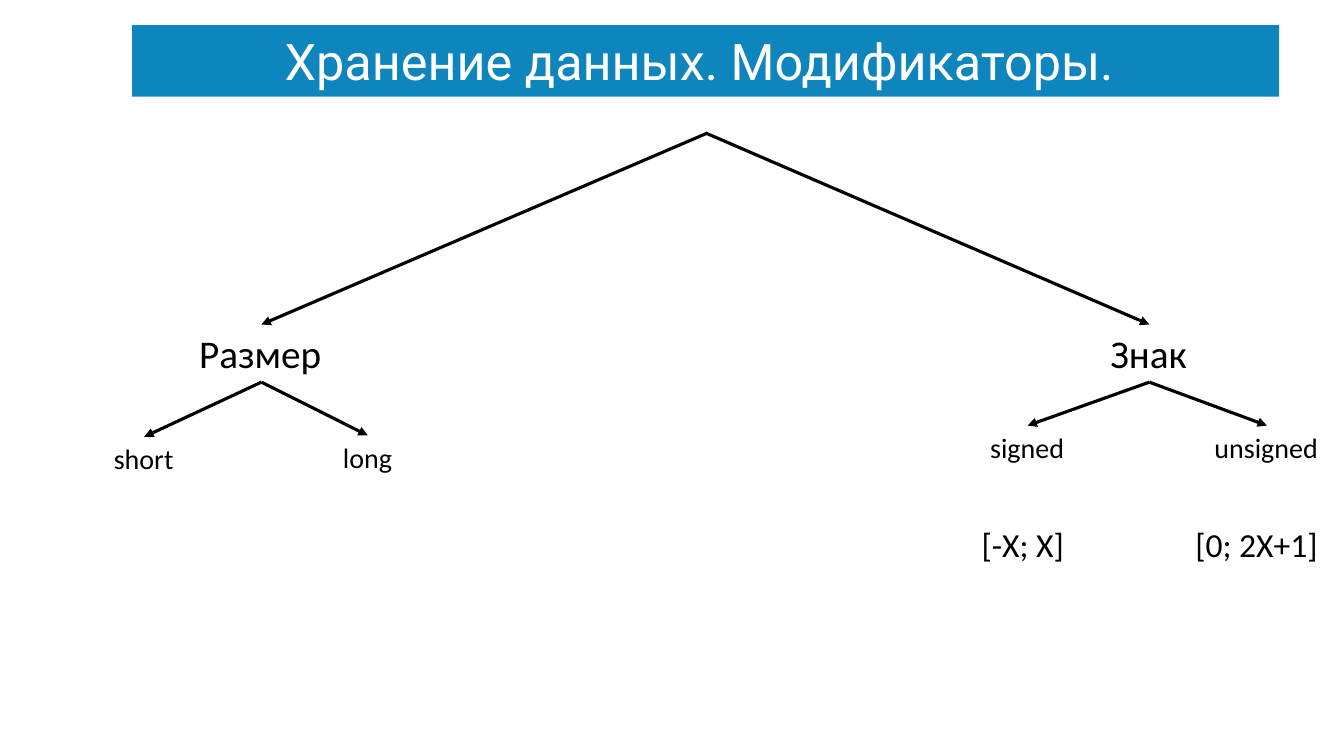
import pptx
import pptx.util
import pptx.dml.color
import pptx.enum.shapes
import pptx.enum.text
import pptx.oxml
import pptx.oxml.ns
import lxml.etree

Pt = pptx.util.Pt
COLORS = {"banner": "0F85BE", "title": "FFFFFF", "ink": "000000"}

TITLE = "Хранение данных. Модификаторы. "
BANNER = (94.3, 18, 819.4, 51.1)  # left, top, width, height
ROOT_Y, BRANCH_TOP = 95, 231.8
LABEL_HEIGHTS = {28: 41.2, 24: 36.3, 20: 31.5}  # by font size

# Labels are (text, centre x, width); each branch hangs from its own root x.
BRANCHES = [
    {"root": 505.4, "label": ("Размер", 186.7, 103),
     "leaves": [("short", 103, 57.6, 312), ("long", 262.7, 49.7, 311)]},
    {"root": 504, "label": ("Знак", 821, 69.8),
     "leaves": [("signed", 734, 67.7, 304), ("unsigned", 905, 89.3, 304)]},
]
RANGES = [("[-X; X]", 731.2, 74.2), ("[0; 2X+1]", 898.2, 103)]
RANGE_TOP = 370.8


def color(name):
    """Return the named palette colour."""
    return pptx.dml.color.RGBColor.from_string(COLORS[name])


def style_run(paragraph, size, font, color_name):
    """Format the only run of a paragraph."""
    run = paragraph.runs[0]
    run.font.size = Pt(size)
    run.font.name = font
    run.font.color.rgb = color(color_name)


def add_banner(slide):
    """Draw the coloured title bar with its text."""
    shape = slide.shapes.add_shape(
        pptx.enum.shapes.MSO_SHAPE.RECTANGLE, *map(Pt, BANNER))
    shape.shadow.inherit = False
    shape.fill.solid()
    shape.fill.fore_color.rgb = color("banner")
    shape.line.fill.background()
    text_frame = shape.text_frame
    text_frame.text = TITLE
    text_frame.word_wrap = True
    text_frame.vertical_anchor = pptx.enum.text.MSO_ANCHOR.BOTTOM
    paragraph = text_frame.paragraphs[0]
    paragraph.alignment = pptx.enum.text.PP_ALIGN.CENTER
    paragraph.line_spacing = 0.9
    style_run(paragraph, 36, "Roboto", "title")


def add_label(shapes, text, center, width, top, size):
    """Place a one-line label centred on the given x."""
    box = shapes.add_textbox(Pt(center - width / 2), Pt(top),
                             Pt(width), Pt(LABEL_HEIGHTS[size]))
    box.text_frame.text = text
    box.text_frame.word_wrap = False
    box.text_frame.auto_size = pptx.enum.text.MSO_AUTO_SIZE.SHAPE_TO_FIT_TEXT
    style_run(box.text_frame.paragraphs[0], size, "Calibri", "ink")


def add_arrow(shapes, start, end):
    """Draw a straight arrow between two points."""
    arrow = shapes.add_connector(pptx.enum.shapes.MSO_CONNECTOR.STRAIGHT,
                                 *map(Pt, start + end))
    arrow.line.color.rgb = color("ink")
    arrow.line.width = Pt(2.25)
    qn = pptx.oxml.ns.qn
    line = arrow.line._get_or_add_ln()
    lxml.etree.SubElement(line, qn("a:tailEnd"), type="triangle")
    lxml.etree.SubElement(arrow._element.spPr, qn("a:effectLst"))


def add_branch(slide, branch):
    """Draw a branch: its root arrow, label and leaves."""
    text, center, width = branch["label"]
    add_arrow(slide.shapes, (branch["root"], ROOT_Y), (center, BRANCH_TOP))
    shapes = slide.shapes.add_group_shape().shapes
    add_label(shapes, text, center, width, BRANCH_TOP, 28)
    fork = (center, BRANCH_TOP + LABEL_HEIGHTS[28])
    for leaf_text, leaf_center, leaf_width, top in branch["leaves"]:
        add_label(shapes, leaf_text, leaf_center, leaf_width, top, 20)
        add_arrow(shapes, fork, (leaf_center, top))


presentation = pptx.Presentation()
presentation.slide_width, presentation.slide_height = Pt(960), Pt(540)
slide = presentation.slides.add_slide(presentation.slide_layouts[6])
add_banner(slide)
for branch in BRANCHES:
    add_branch(slide, branch)
for text, center, width in RANGES:
    add_label(slide.shapes, text, center, width, RANGE_TOP, 24)
presentation.save("out.pptx")
